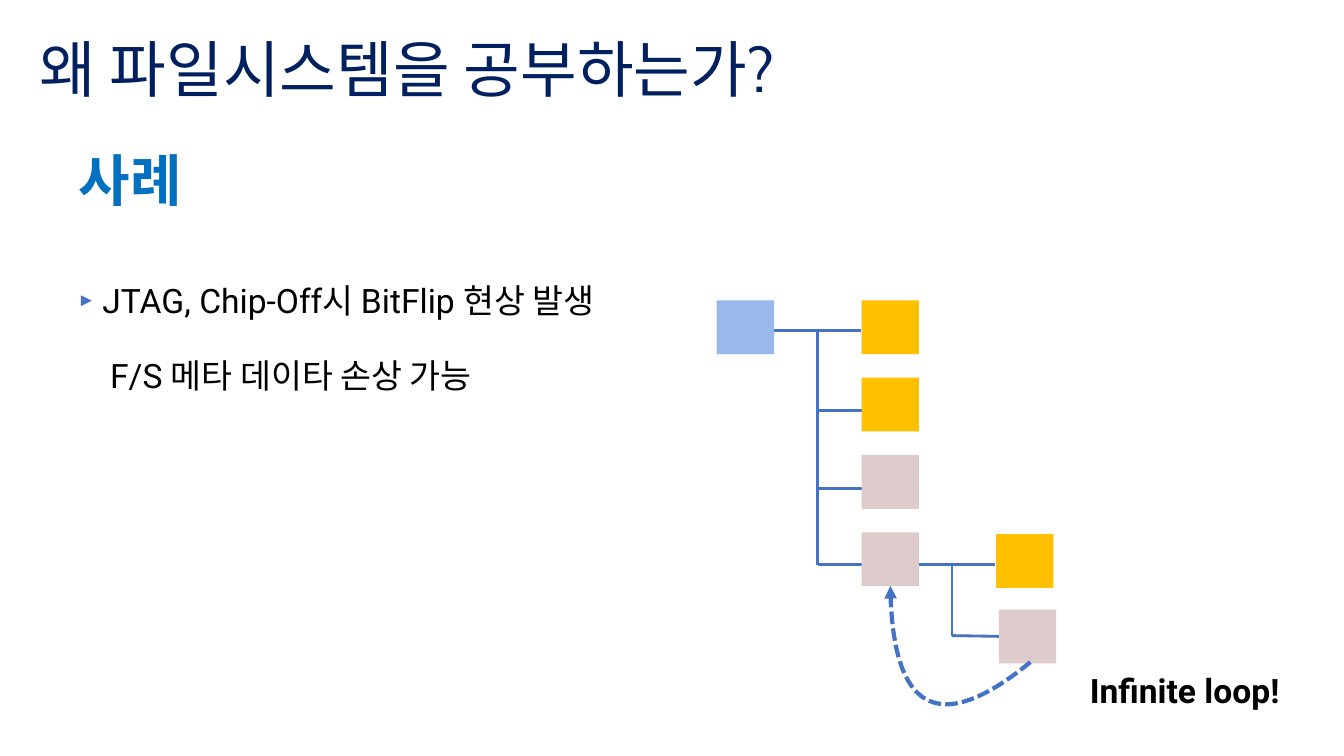
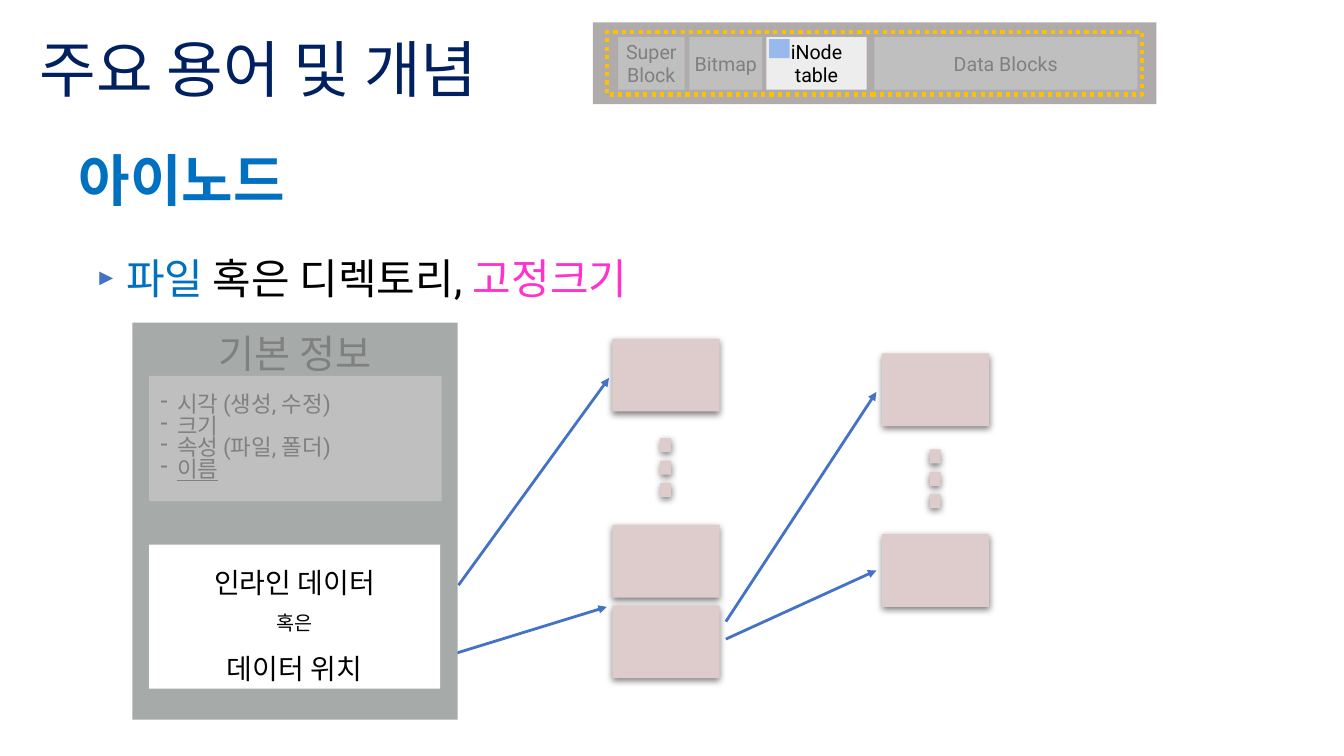
from lxml import etree
from pptx import Presentation
from pptx.dml.color import RGBColor
from pptx.enum.dml import MSO_LINE
from pptx.enum.shapes import MSO_CONNECTOR, MSO_SHAPE
from pptx.enum.text import MSO_ANCHOR, MSO_AUTO_SIZE, PP_ALIGN
from pptx.oxml.ns import qn
from pptx.util import Pt

LEFT, CENTER = PP_ALIGN.LEFT, PP_ALIGN.CENTER
TOP, MIDDLE = MSO_ANCHOR.TOP, MSO_ANCHOR.MIDDLE
DOTTED, DASHED = MSO_LINE.ROUND_DOT, MSO_LINE.SQUARE_DOT
RECTANGLE, STRAIGHT = MSO_SHAPE.RECTANGLE, MSO_CONNECTOR.STRAIGHT

NAVY, BLUE, LINE_BLUE, PALE_BLUE = "002060", "0070C0", "4472C4", "99B8EB"
YELLOW, PINK, MAGENTA = "FFC000", "DECBCB", "FF33CC"
BLACK, WHITE, DIM_TEXT = "000000", "FFFFFF", "808080"
PANEL, DIM, BAR, LIGHT = "A6AAA9", "BFBFBF", "AFABAB", "EDEDED"
color = RGBColor.from_string


def write(frame, paragraphs, size, hue=BLACK, bold=False, font="Roboto", align=LEFT,
          spacing=1.0, before=0, anchor=TOP, inset=None, wrap=True):
    """Fill a frame; each paragraph is a list of (text, font changes) runs."""
    frame_format = {"word_wrap": wrap, "auto_size": MSO_AUTO_SIZE.NONE, "vertical_anchor": anchor}
    if inset is not None:
        for side in ("left", "top", "right", "bottom"):
            frame_format["margin_" + side] = Pt(inset)
    for name, value in frame_format.items():
        setattr(frame, name, value)
    for number, runs in enumerate(paragraphs):
        paragraph = frame.add_paragraph() if number else frame.paragraphs[0]
        paragraph_format = {"alignment": align, "line_spacing": spacing,
                            "space_before": Pt(before if number else 0), "space_after": Pt(0)}
        for name, value in paragraph_format.items():
            setattr(paragraph, name, value)
        for text, changes in runs:
            run = paragraph.add_run()
            run.text = text
            font_format = {"name": font, "size": Pt(size), "bold": bold, "hue": hue, **changes}
            run.font.color.rgb = color(font_format.pop("hue"))
            for name, value in font_format.items():
                setattr(run.font, name, value)


def rectangle(slide, left, top, width, height, fill, shadow=False):
    shape = slide.shapes.add_shape(RECTANGLE, Pt(left), Pt(top), Pt(width), Pt(height))
    shape.shadow.inherit = False
    shape.line.fill.background()
    if fill:
        shape.fill.solid()
        shape.fill.fore_color.rgb = color(fill)
    else:
        shape.fill.background()
    if shadow:
        effects = shape.element.spPr.find(qn("a:effectLst"))
        outer = etree.SubElement(effects, qn("a:outerShdw"), blurRad=str(Pt(5)),
                                 dist=str(Pt(2)), dir="5400000", rotWithShape="0")
        shade = etree.SubElement(outer, qn("a:srgbClr"), val=BLACK)
        etree.SubElement(shade, qn("a:alpha"), val="50000")
    return shape


prs = Presentation()
prs.slide_width, prs.slide_height = Pt(960), Pt(540)

# Titles, headings and lists
contents = [
    ("왜 파일시스템을 공부하는가?", "사례", (48, 182, 879, 328), 24,
     [[("JTAG, Chip-Off시 BitFlip 현상 발생", {})], [("F/S 메타 데이타 손상 가능", {})]]),
    ("주요 용어 및 개념", "아이노드", (60.5, 158.5, 765, 293), 30,
     [[("파일", {"hue": BLUE}), (" 혹은 디렉토리, ", {}), ("고정크기", {"hue": MAGENTA})]]),
]
slides = []
indents = []  # paragraph, left, first line, bullet character, bullet colour, bullet size in percent
for title, heading, list_area, list_size, points in contents:
    slide = prs.slides.add_slide(prs.slide_layouts[3])
    slides.append(slide)
    areas = [(21, 16, 822, 71), (49, 109.5, 879, 51), list_area]
    for holder, area in zip(slide.placeholders, areas):
        holder.left, holder.top, holder.width, holder.height = map(Pt, area)
    title_frame, heading_frame, list_frame = [holder.text_frame for holder in slide.placeholders]
    write(title_frame, [[(title, {})]], 44, NAVY, font="Cabin", spacing=0.9, anchor=MIDDLE)
    write(heading_frame, [[(heading, {})]], 40, BLUE, bold=True, spacing=0.8)
    write(list_frame, points, list_size, spacing=1.5, before=10)
    indents.append((heading_frame.paragraphs[0], 0, 0, None, None, None))
    hang = 18 if slide is slides[0] else 22.5
    indents.append((list_frame.paragraphs[0], hang, -hang, "►", LINE_BLUE, 55))
    for paragraph in list_frame.paragraphs[1:]:
        indents.append((paragraph, 23.5, 0, None, None, None))
case_slide, inode_slide = slides

# Straight lines of the tree and arrows between blocks
trunk, branch = 584, 680
tree_lines = [(553, 236, 615, 236), (trunk, 236, trunk, 403.5),
              *[(trunk, y, 640, y) for y in (293, 349, 403)],
              (640, 403, 711, 403), (branch, 403, branch, 454), (branch, 454, 740, 455)]
block_arrows = [(327.5, 418, 435, 270), (326, 466.5, 433.5, 433.5),
                (518.5, 444, 626, 280), (518.5, 456.5, 626, 407.5)]
arrowed = []
for slide, segments in ((case_slide, tree_lines), (inode_slide, block_arrows)):
    for ends in segments:
        connector = slide.shapes.add_connector(STRAIGHT, *map(Pt, ends))
        connector.line.color.rgb = color(LINE_BLUE)
        connector.line.width = Pt(2)
        etree.SubElement(connector.element.spPr, qn("a:effectLst"))
        if slide is inode_slide:
            arrowed.append(connector)

# Case slide: directory tree with a loop
column, first_row, row_pitch = 615.5, 214.5, 55.25
nodes = [(512, first_row, PALE_BLUE), (711.5, 381.5, YELLOW), (713.5, 435.5, PINK)]
nodes += [(column, first_row + row * row_pitch, fill)
          for row, fill in enumerate((YELLOW, YELLOW, PINK, PINK))]
for left, top, fill in nodes:
    rectangle(case_slide, left, top, 41, 38.5, fill)

curve_controls = [(736, 473), (670, 527), (637, 508), (636, 418.5)]
steps = 40
curve = []
for step in range(steps + 1):
    t = step / steps
    weights = ((1 - t) ** 3, 3 * t * (1 - t) ** 2, 3 * t ** 2 * (1 - t), t ** 3)
    curve.append(tuple(Pt(sum(w * point[axis] for w, point in zip(weights, curve_controls)))
                       for axis in (0, 1)))
builder = case_slide.shapes.build_freeform(*curve[0])
builder.add_line_segments(curve[1:], close=False)
loop_back = builder.convert_to_shape()
loop_back.shadow.inherit = False
loop_back.fill.background()
loop_back.line.color.rgb = color(LINE_BLUE)
loop_back.line.width = Pt(3)
loop_back.line.dash_style = DASHED
arrowed.append(loop_back)

loop_label = case_slide.shapes.add_textbox(Pt(774), Pt(474), Pt(149), Pt(37.5))
write(loop_label.text_frame, [[("Infinite loop!", {})]], 24, bold=True,
      anchor=MIDDLE, inset=4.5, wrap=False)

# Inode slide: file system layout bar
rectangle(inode_slide, 423.5, 16, 402.5, 58.5, BAR)
for left, width, fill, hue, lines in (
        (441.5, 47.5, DIM, DIM_TEXT, ["Super Block"]),
        (492.5, 52, DIM, DIM_TEXT, ["Bitmap"]),
        (547.5, 71.5, LIGHT, BLACK, ["iNode", "table"]),
        (624.5, 188, DIM, DIM_TEXT, ["Data Blocks"])):
    region = rectangle(inode_slide, left, 26.5, width, 37.5, fill)
    write(region.text_frame, [[(line, {})] for line in lines], 14, hue,
          align=CENTER, anchor=MIDDLE, inset=3)
partition = rectangle(inode_slide, 433.5, 23, 382.5, 44.5, None)
partition.line.color.rgb = color(YELLOW)
partition.line.width = Pt(3)
partition.line.dash_style = DOTTED
rectangle(inode_slide, 549.5, 28, 14.5, 13.5, PALE_BLUE)

# Inode slide: contents of one inode
rectangle(inode_slide, 94.5, 230.5, 232.5, 283.5, PANEL)
basic_info = rectangle(inode_slide, 101, 237.5, 219.5, 126.5, PANEL)
write(basic_info.text_frame, [[("기본 정보", {})]], 28, DIM_TEXT,
      align=CENTER, spacing=0.8, inset=4.5)
attributes = rectangle(inode_slide, 106.5, 268.5, 209, 89.5, DIM)
write(attributes.text_frame,
      [[("시각 (생성, 수정)", {})], [("크기", {})], [("속성 (파일, 폴더)", {})],
       [("이름", {"underline": True})]],
      16, DIM_TEXT, spacing=0.8, anchor=MIDDLE, inset=4.5)
indents += [(paragraph, 15.5, -12, "-", DIM_TEXT, 100)
            for paragraph in attributes.text_frame.paragraphs]
data_place = rectangle(inode_slide, 106.5, 389, 208, 103, WHITE)
write(data_place.text_frame,
      [[("인라인 데이터", {})], [("혹은", {"size": Pt(14)})], [("데이터 위치", {})]],
      20, align=CENTER, spacing=1.5, anchor=MIDDLE, inset=4.5)

# Inode slide: data blocks with dots for the ones between
for left, block_tops, first_dot in ((437.5, (242, 375, 432.5), 313),
                                    (630, (252.5, 381.5), 321)):
    for top in block_tops:
        rectangle(inode_slide, left, top, 76.5, 52, PINK, shadow=True)
    for dot in range(3):
        rectangle(inode_slide, left + 34, first_dot + dot * 16, 8, 10, PINK, shadow=True)

# Arrowheads, indents and bullets
for line in arrowed:
    etree.SubElement(line.element.spPr.find(qn("a:ln")), qn("a:tailEnd"), type="triangle")
for paragraph, left, first_line, bullet, hue, percent in indents:
    properties = paragraph._p.get_or_add_pPr()
    properties.set("marL", str(Pt(left)))
    properties.set("indent", str(Pt(first_line)))
    if bullet:
        bullet_color = etree.SubElement(properties, qn("a:buClr"))
        etree.SubElement(bullet_color, qn("a:srgbClr"), val=hue)
        etree.SubElement(properties, qn("a:buSzPct"), val=str(percent * 1000))
        etree.SubElement(properties, qn("a:buChar"), char=bullet)
    else:
        etree.SubElement(properties, qn("a:buNone"))

prs.save("out.pptx")
